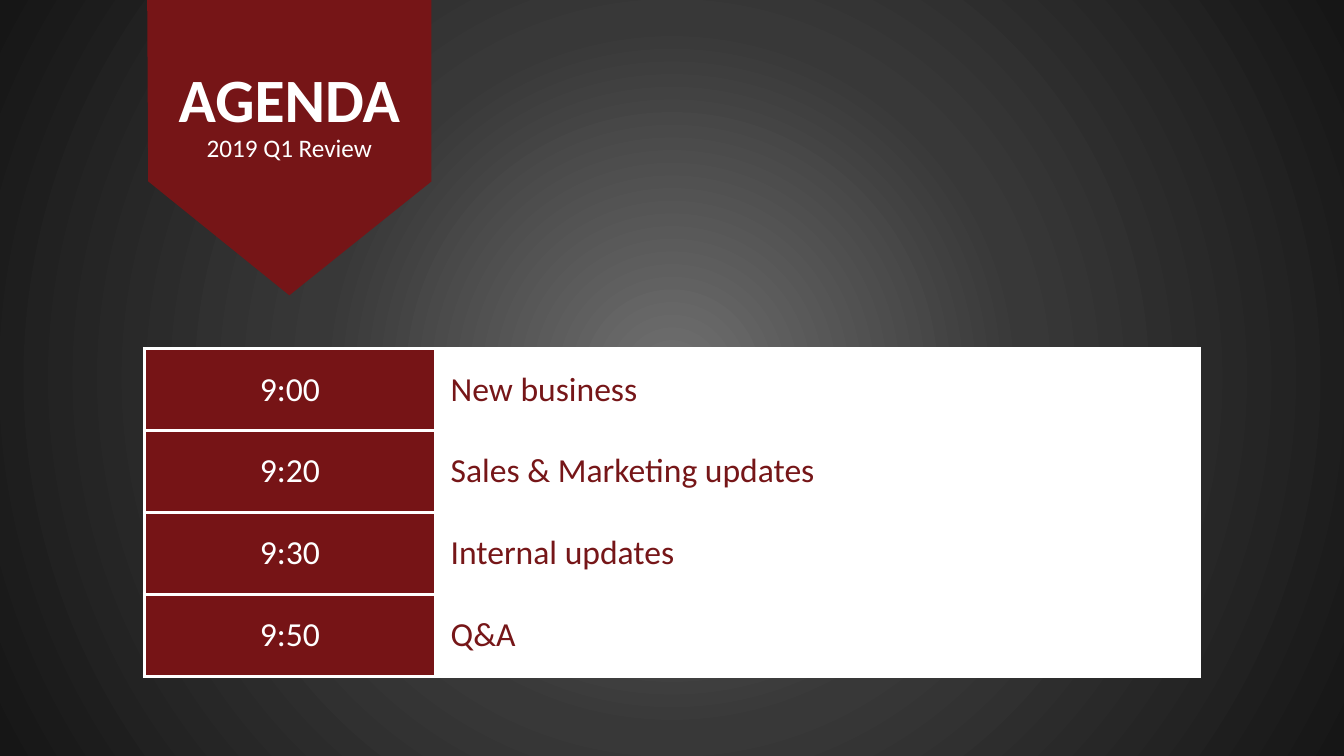
from pptx import Presentation
from pptx.dml.color import RGBColor
from pptx.enum.text import MSO_ANCHOR, PP_ALIGN
from pptx.oxml import parse_xml
from pptx.oxml.ns import nsdecls
from pptx.util import Inches, Pt

COLORS = {
    "white": "FFFFFF",
    "ribbon": "761517",
    "time_fill": "761416",
    "topic_text": "761618",
    "glow": "707070",
    "middle": "383838",
    "edge": "161616",
}
FONT = "Calibri"
AGENDA = [
    ("9:00", "New business"),
    ("9:20", "Sales & Marketing updates"),
    ("9:30", "Internal updates"),
    ("9:50", "Q&A"),
]


def color(name):
    return RGBColor.from_string(COLORS[name])


def write_text(frame, text, size, ink="white", bold=False,
               align=PP_ALIGN.CENTER, line_spacing=None):
    paragraph = frame.paragraphs[0]
    paragraph.alignment = align
    paragraph.line_spacing = line_spacing
    run = paragraph.add_run()
    run.text = text
    run.font.name = FONT
    run.font.size = Pt(size)
    run.font.bold = bold
    run.font.color.rgb = color(ink)


def paint_background(slide):
    slide.background.fill.gradient()
    gradient = next(slide.element.iter("{*}gradFill"))
    stops = "".join(
        f'<a:gs pos="{position * 1000}"><a:srgbClr val="{COLORS[name]}"/></a:gs>'
        for position, name in [(0, "glow"), (46, "middle"), (100, "edge")]
    )
    radial = parse_xml(
        f'<a:gradFill {nsdecls("a")} rotWithShape="1"><a:gsLst>{stops}</a:gsLst>'
        '<a:path path="circle"><a:fillToRect l="50000" t="50000" r="50000" b="50000"/>'
        '</a:path></a:gradFill>'
    )
    gradient.getparent().replace(gradient, radial)


def add_ribbon(slide, left, top, width, height):
    right, shoulder = left + width, top + Inches(1.8)
    builder = slide.shapes.build_freeform(left, top)
    builder.add_line_segments([
        (right, top),
        (right, shoulder),
        (left + width // 2, top + height),
        (left + Inches(0.01), shoulder),
    ])
    ribbon = builder.convert_to_shape()
    ribbon.shadow.inherit = False
    ribbon.fill.solid()
    ribbon.fill.fore_color.rgb = color("ribbon")
    ribbon.line.fill.background()
    ribbon.text_frame.word_wrap = True
    ribbon.text_frame.vertical_anchor = MSO_ANCHOR.MIDDLE
    write_text(ribbon.text_frame, "2019 Q1 Review", 18)

    title = slide.shapes.add_textbox(left, top + Inches(0.55), width, Inches(0.93))
    title.text_frame.word_wrap = True
    title.text_frame.vertical_anchor = MSO_ANCHOR.MIDDLE
    write_text(title.text_frame, "AGENDA", 44, bold=True, line_spacing=0.9)


def format_cell(cell, fill):
    properties = cell._tc.get_or_add_tcPr()
    for side in "LRTB":
        properties.append(parse_xml(
            f'<a:ln{side} {nsdecls("a")} w="{Pt(2.25)}"><a:solidFill>'
            f'<a:srgbClr val="{COLORS["white"]}"/></a:solidFill></a:ln{side}>'
        ))
    cell.fill.solid()
    cell.fill.fore_color.rgb = color(fill)
    cell.vertical_anchor = MSO_ANCHOR.MIDDLE


def add_schedule(slide, left, top, width, height):
    table = slide.shapes.add_table(len(AGENDA), 2, left, top, width, height).table
    table.first_row = table.horz_banding = False
    time_width = Inches(2.89)
    table.columns[0].width = time_width
    table.columns[1].width = width - time_width
    for row, (time, topic) in enumerate(AGENDA):
        time_cell, topic_cell = table.cell(row, 0), table.cell(row, 1)
        format_cell(time_cell, "time_fill")
        write_text(time_cell.text_frame, time, 24)
        format_cell(topic_cell, "white")
        topic_cell.margin_left = topic_cell.margin_right = Inches(0.15)
        topic_cell.margin_top = topic_cell.margin_bottom = Inches(0.15)
        write_text(topic_cell.text_frame, topic, 24, ink="topic_text",
                   align=PP_ALIGN.LEFT)


def main():
    presentation = Presentation()
    presentation.slide_width = Inches(13.33)
    presentation.slide_height = Inches(7.5)
    slide = presentation.slides.add_slide(presentation.slide_layouts[6])
    paint_background(slide)
    add_ribbon(slide, Inches(1.46), Inches(0), Inches(2.82), Inches(2.93))
    add_schedule(slide, Inches(1.43), Inches(3.46), Inches(10.47), Inches(3.25))
    presentation.save("out.pptx")


if __name__ == "__main__":
    main()
